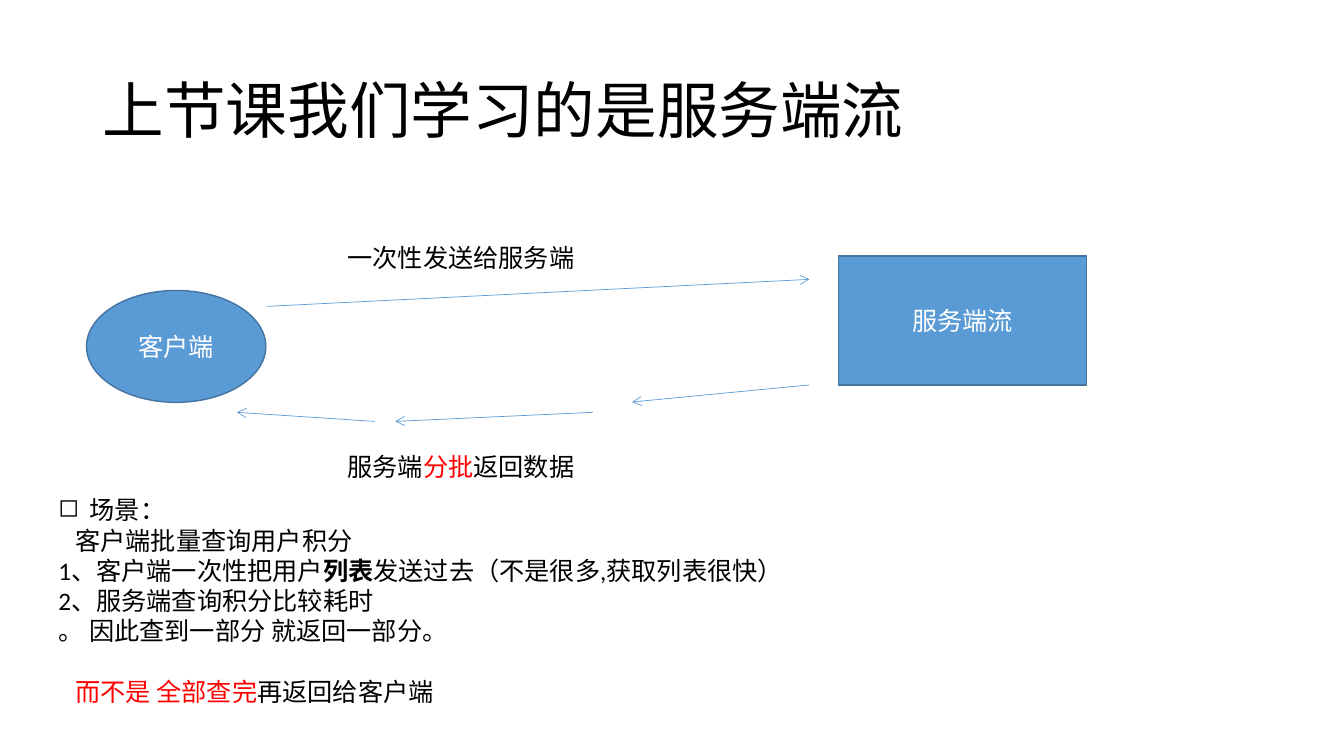
from dataclasses import dataclass

from lxml.etree import SubElement
from pptx import Presentation
from pptx.dml.color import RGBColor as RGB
from pptx.enum.shapes import MSO_CONNECTOR as Link, MSO_SHAPE as Preset
from pptx.enum.text import MSO_ANCHOR as Anchor, PP_ALIGN as Align
from pptx.oxml.ns import qn
from pptx.util import Cm, Pt


@dataclass(frozen=True)
class Theme:
    font: str = "Calibri"
    title_size: int = 44
    body_size: int = 18
    ink: str = "000000"
    alert: str = "FF0000"
    light: str = "FFFFFF"
    fill: str = "5B9BD5"
    outline: str = "43739E"
    outline_width: float = 1
    arrow_width: float = 0.5


def apply(target, values):
    for name, value in values.items():
        setattr(target, name, value)


class SlideBuilder:
    def __init__(self, slide, theme):
        self.slide = slide
        self.theme = theme

    def add_runs(self, paragraph, runs, size, color, **layout):
        apply(paragraph, layout)
        for words, changes in runs:
            run = paragraph.add_run()
            run.text = words
            values = {"name": self.theme.font, "size": Pt(size), "bold": False, **changes}
            tint = values.pop("color", color)
            apply(run.font, values)
            run.font.color.rgb = RGB.from_string(tint)

    def text(self, box, paragraphs, size=None, anchor=Anchor.TOP):
        frame = self.slide.shapes.add_textbox(*map(Cm, box)).text_frame
        apply(frame, {"word_wrap": True, "vertical_anchor": anchor})
        for index, (runs, layout) in enumerate(paragraphs):
            paragraph = frame.add_paragraph() if index else frame.paragraphs[0]
            self.add_runs(paragraph, runs, size or self.theme.body_size, self.theme.ink, **layout)
        return frame

    def node(self, preset, box, label):
        theme = self.theme
        node = self.slide.shapes.add_shape(preset, *map(Cm, box))
        node.shadow.inherit = False
        node.fill.solid()
        node.fill.fore_color.rgb = RGB.from_string(theme.fill)
        node.line.color.rgb = RGB.from_string(theme.outline)
        node.line.width = Pt(theme.outline_width)
        node.text_frame.vertical_anchor = Anchor.MIDDLE
        self.add_runs(node.text_frame.paragraphs[0], [(label, {})],
                      theme.body_size, theme.light, alignment=Align.CENTER)

    def arrow(self, start, end):
        arrow = self.slide.shapes.add_connector(Link.STRAIGHT, *map(Cm, start + end))
        arrow.line.color.rgb = RGB.from_string(self.theme.fill)
        arrow.line.width = Pt(self.theme.arrow_width)
        properties = arrow.element.spPr
        SubElement(properties.find(qn("a:ln")), qn("a:tailEnd"), type="arrow")
        SubElement(properties, qn("a:effectLst"))

    def indent(self, paragraph, left, first=0, bullet=None):
        properties = paragraph._p.get_or_add_pPr()
        properties.set("marL", str(Cm(left)))
        properties.set("indent", str(Cm(first)))
        if bullet:
            SubElement(properties, qn("a:buChar"), char=bullet)


def main():
    deck = Presentation()
    apply(deck, {"slide_width": Cm(33.87), "slide_height": Cm(19.05)})
    theme = Theme()
    builder = SlideBuilder(deck.slides.add_slide(deck.slide_layouts[6]), theme)
    red = {"color": theme.alert}

    builder.text((2.34, 1.02, 29.21, 3.68),
                 [([("上节课我们学习的是服务端流", {})], {"line_spacing": 0.9})],
                 theme.title_size, Anchor.MIDDLE)

    builder.node(Preset.OVAL, (2.18, 7.32, 4.52, 2.82), "客户端")
    builder.node(Preset.RECTANGLE, (21.13, 6.45, 6.25, 3.25), "服务端流")

    request = ((6.73, 7.72), (20.4, 7.04))
    replies = [
        ((20.4, 9.7), (15.93, 10.13)),
        ((14.94, 10.39), (9.96, 10.62)),
        ((9.45, 10.62), (5.97, 10.39)),
    ]
    for start, end in [request, *replies]:
        builder.arrow(start, end)

    builder.text((8.51, 5.97, 7.42, 1.07), [([("一次性发送给服务端", {})], {})])
    builder.text((8.51, 11.25, 8.08, 1.02),
                 [([("服务端", {}), ("分批", red), ("返回数据", {})], {})])

    scenario = builder.text((1.22, 12.34, 30.71, 5.64), [
        ([("场景：", {})], {}),
        ([("客户端批量查询用户积分", {})], {}),
        ([("1、客户端一次性把用户", {}), ("列表", {"bold": True}),
          ("发送过去（不是很多,获取列表很快）", {})], {}),
        ([("2、服务端查询积分比较耗时", {})], {}),
        ([("。 因此查到一部分 就返回一部分。", {})], {}),
        ([("而不是 全部查完", red), ("再返回给客户端", {})], {"space_before": Pt(21.6)}),
    ])
    heading, task, *_, contrast = scenario.paragraphs
    builder.indent(heading, 0.79, -0.79, "◻")
    for paragraph in (task, contrast):
        builder.indent(paragraph, 0.43)

    deck.save("out.pptx")


if __name__ == "__main__":
    main()
